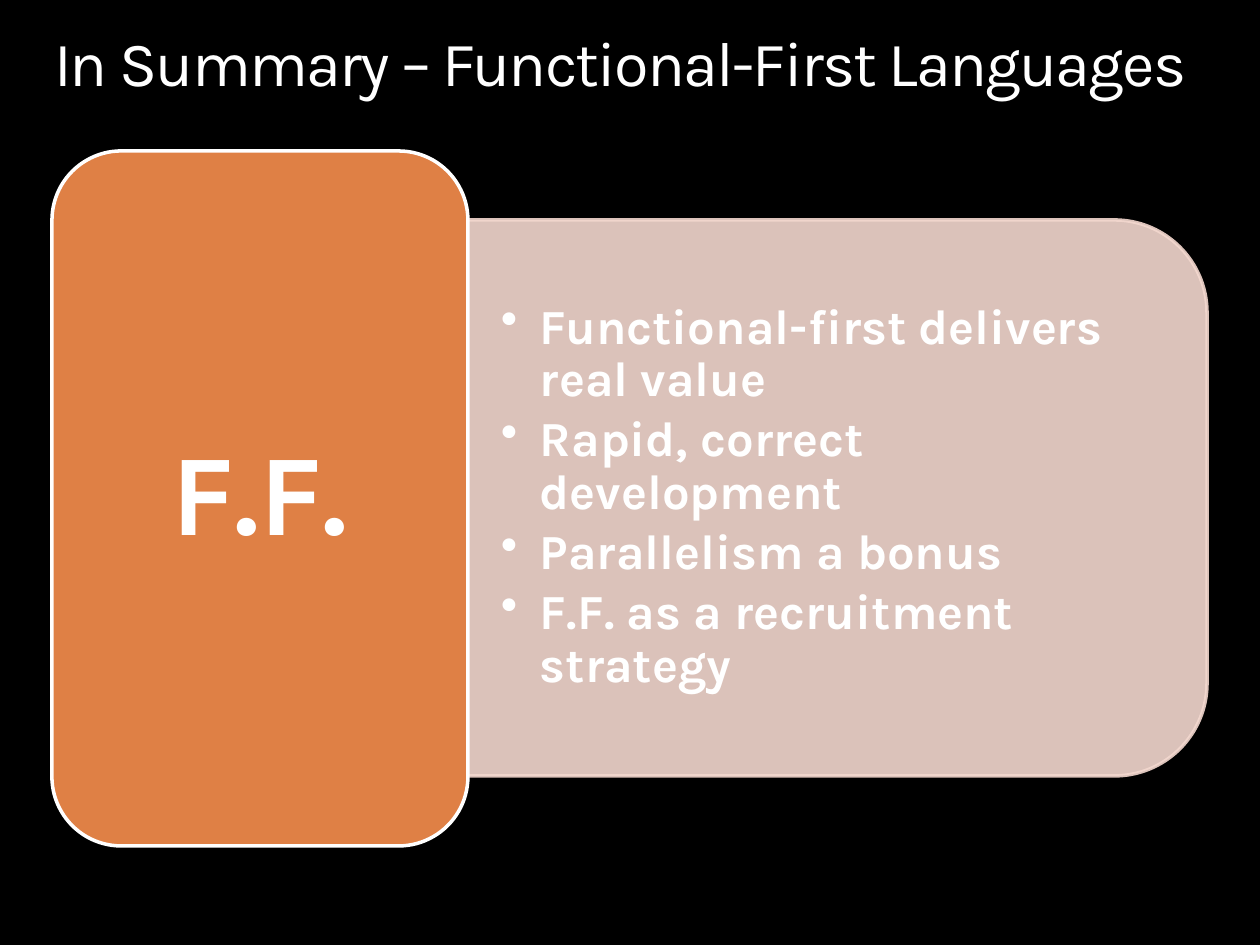
from typing import NamedTuple

from lxml import etree
from pptx import Presentation
from pptx import util as u
from pptx.dml.color import RGBColor
from pptx.enum import shapes, text
from pptx.oxml.ns import qn

PX = 914400 / 126
FONT = "Karla"
BLACK = RGBColor(0x00, 0x00, 0x00)
WHITE = RGBColor(0xFF, 0xFF, 0xFF)
ORANGE = RGBColor(0xDF, 0x80, 0x45)
PINK = RGBColor(0xF3, 0xD8, 0xCF)

POINTS = [
    "Functional-first delivers real value",
    "Rapid, correct development",
    "Parallelism a bonus",
    "F.F. as a recruitment strategy",
]


class Box(NamedTuple):
    left: int
    top: int
    width: int
    height: int


class Panel(NamedTuple):
    kind: shapes.MSO_SHAPE
    box: Box
    fill: RGBColor
    line: RGBColor
    turn: int = 0
    alpha: int = 100


class Label(NamedTuple):
    box: Box
    lines: list[str]
    size: int
    after: int
    inset: int
    bullets: bool = False


def emu(px: int) -> u.Emu:
    return u.Emu(round(px * PX))


def place(box: Box) -> list[u.Emu]:
    return [emu(v) for v in box]


def style(para, size: int, bold: bool) -> None:
    para.line_spacing = 0.9
    for run in para.runs:
        run.font.name = FONT
        run.font.size = u.Pt(size)
        run.font.bold = bold
        run.font.color.rgb = WHITE


def fade(color, alpha: int) -> None:
    """Set the opacity, in percent, of a solid fill element."""
    etree.SubElement(color[0], qn("a:alpha")).set("val", str(alpha * 1000))


def add_bullet(para) -> None:
    para.level = 1
    props = para._p.get_or_add_pPr()
    props.set("marL", str(emu(39)))
    props.set("indent", str(-emu(39)))
    etree.SubElement(props, qn("a:buChar")).set("char", "•")


def draw_panel(group, panel: Panel) -> None:
    shape = group.shapes.add_shape(panel.kind, *place(panel.box))
    shape.rotation = panel.turn
    shape.shadow.inherit = False
    shape.fill.solid()
    shape.fill.fore_color.rgb = panel.fill
    shape.line.color.rgb = panel.line
    shape.line.width = u.Pt(2)
    if panel.alpha < 100:
        props = shape._element.spPr
        for solid in props.iter(qn("a:solidFill")):
            fade(solid, panel.alpha)


def draw_label(group, label: Label) -> None:
    frame = group.shapes.add_textbox(*place(label.box)).text_frame
    frame.word_wrap = True
    frame.vertical_anchor = text.MSO_ANCHOR.MIDDLE
    frame.margin_left = frame.margin_right = emu(label.inset)
    frame.margin_top = frame.margin_bottom = emu(18)
    frame.text = "\n".join(label.lines)
    for para in frame.paragraphs:
        if label.bullets:
            add_bullet(para)
        else:
            para.alignment = text.PP_ALIGN.CENTER
        para.space_after = u.Pt(label.after)
        style(para, label.size, True)


def set_title(title, words: str) -> None:
    title.left, title.top, title.width, title.height = place(Box(54, 32, 1153, 69))
    frame = title.text_frame
    frame.text = words
    frame.word_wrap = True
    frame.auto_size = text.MSO_AUTO_SIZE.SHAPE_TO_FIT_TEXT
    frame.vertical_anchor = text.MSO_ANCHOR.TOP
    frame.margin_left = frame.margin_right = 0
    frame.margin_top = frame.margin_bottom = 0
    para = frame.paragraphs[0]
    para.alignment = text.PP_ALIGN.LEFT
    style(para, 36, False)
    para.runs[0]._r.get_or_add_rPr().set("spc", "-100")


def main() -> None:
    deck = Presentation()
    deck.slide_width, deck.slide_height = emu(1260), emu(945)
    slide = deck.slides.add_slide(deck.slide_layouts[5])
    slide.background.fill.solid()
    slide.background.fill.fore_color.rgb = BLACK
    set_title(slide.shapes.title, "In Summary – Functional-First Languages")

    group = slide.shapes.add_group_shape()
    kinds = shapes.MSO_SHAPE
    draw_panel(group, Panel(kinds.ROUND_2_SAME_RECTANGLE, Box(559, 128, 556, 740),
                            PINK, PINK, 90, 90))
    draw_label(group, Label(Box(467, 247, 712, 501), POINTS, 28, 4, 34, True))
    draw_panel(group, Panel(kinds.ROUNDED_RECTANGLE, Box(52, 151, 416, 695),
                            ORANGE, WHITE))
    draw_label(group, Label(Box(72, 171, 375, 654), ["F.F."], 66, 23, 35))
    deck.save("out.pptx")


if __name__ == "__main__":
    main()
